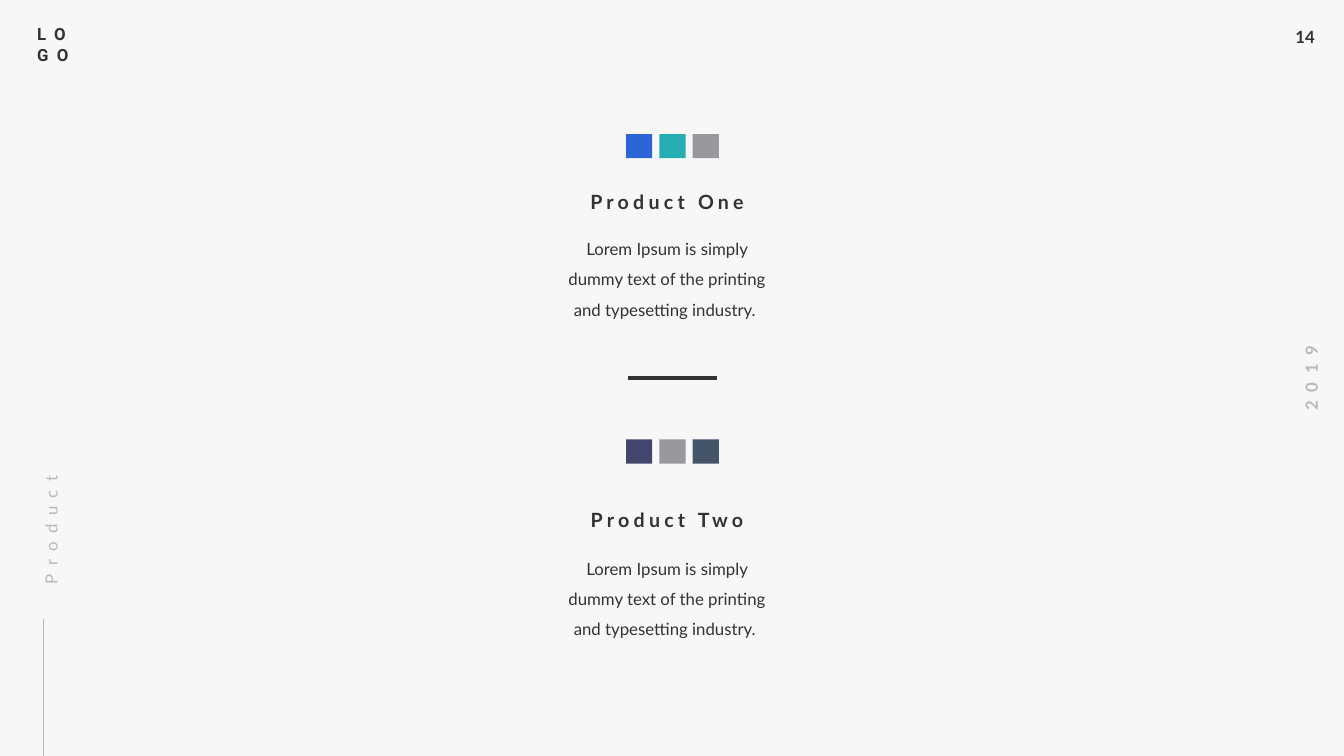
"""Build a slide that shows two products with their colour swatches."""
import pptx
import pptx.dml.color
import pptx.enum.shapes
import pptx.enum.text
import pptx.oxml.ns
import pptx.util
from lxml import etree

Inches = pptx.util.Inches
Pt = pptx.util.Pt
Align = pptx.enum.text.PP_ALIGN

COLORS = {
    "back": "F7F7F7",
    "dark": "323232",
    "pale": "B9B9B9",
    "blue": "2C65D8",
    "teal": "25AEB1",
    "gray": "99999D",
    "plum": "42456C",
    "slate": "445469",
}
PLAIN = (0.1, 0.05, 0.1, 0.05)
TIGHT = (0, 0, 0.1, 0)
BLURB = "Lorem Ipsum is simply dummy text of the printing and typesetting industry. "


class Page:
    """Hold the style and the current slide."""

    def __init__(self, deck):
        self.slide = deck.slides.add_slide(deck.slide_layouts[6])
        self.shapes = self.slide.shapes
        self.font = "Lato"
        self.size = 12
        fill = self.slide.background.fill
        fill.solid()
        fill.fore_color.rgb = self.color("back")

    def color(self, name):
        return pptx.dml.color.RGBColor.from_string(COLORS[name])

    def text(self, box, lines, color="dark", bold=False, size=None, font=None,
             gap=0, align=Align.LEFT, inset=PLAIN, wrap=True, turn=0,
             lead=None, before=0):
        shape = self.shapes.add_textbox(*map(Inches, box))
        shape.rotation = turn
        frame = shape.text_frame
        frame.word_wrap = wrap
        frame.auto_size = pptx.enum.text.MSO_AUTO_SIZE.SHAPE_TO_FIT_TEXT
        (frame.margin_left, frame.margin_top,
         frame.margin_right, frame.margin_bottom) = map(Inches, inset)
        for i, line in enumerate(lines):
            para = frame.add_paragraph() if i else frame.paragraphs[0]
            para.alignment = align
            para.line_spacing = lead
            para.space_before = Pt(before)
            run = para.add_run()
            run.text = line
            run.font.name = font or self.font
            run.font.size = Pt(size or self.size)
            run.font.bold = bold
            run.font.color.rgb = self.color(color)
            if gap:
                run._r.get_or_add_rPr().set("spc", str(gap * 100))

    def square(self, left, top, color):
        shape = self.shapes.add_shape(
            pptx.enum.shapes.MSO_SHAPE.RECTANGLE,
            Inches(left), Inches(top), Inches(0.26), Inches(0.24))
        shape.shadow.inherit = False
        shape.fill.solid()
        shape.fill.fore_color.rgb = self.color(color)
        shape.line.fill.background()

    def line(self, start, end, color, width):
        line = self.shapes.add_connector(
            pptx.enum.shapes.MSO_CONNECTOR.STRAIGHT,
            *map(Inches, start + end))
        line.line.color.rgb = self.color(color)
        line.line.width = Pt(width)
        etree.SubElement(line._element.spPr, pptx.oxml.ns.qn("a:effectLst"))

    def product(self, name, top, title_top, text_top, colors):
        for i, color in enumerate(colors):
            self.square(6.21 + 0.33 * i, top, color)
        self.text((5.49, title_top, 2.35, 0.24), [name], bold=True, size=14,
                  gap=3, align=Align.CENTER, inset=TIGHT, before=12)
        self.text((5.58, text_top, 2.17, 0.87), [BLURB], align=Align.CENTER,
                  inset=TIGHT, lead=1.5, before=12)


def main():
    deck = pptx.Presentation()
    deck.slide_width = Inches(13.33)
    deck.slide_height = Inches(7.5)
    page = Page(deck)

    page.text((12.75, 0.22, 0.41, 0.3), ["14"], bold=True, wrap=False)
    page.text((12.54, 3.6, 0.93, 0.3), ["2019"], color="pale", bold=True,
              gap=6, align=Align.CENTER, wrap=False, turn=270)
    page.text((0.27, 0.19, 0.59, 0.5), ["LO", "GO"], bold=True,
              font="Roboto", gap=6)

    page.product("Product One", 1.33, 1.88, 2.27, ["blue", "teal", "gray"])
    page.line((6.23, 3.75), (7.11, 3.75), "dark", 2.25)
    page.product("Product Two", 4.36, 5.04, 5.44, ["plum", "gray", "slate"])

    page.line((0.43, 7.5), (0.43, 6.14), "pale", 0.5)
    page.text((-0.49, 4.74, 1.85, 0.26), ["Product"], color="pale", gap=6,
              inset=TIGHT, turn=270, lead=1.5, before=12)
    deck.save("out.pptx")


if __name__ == "__main__":
    main()
